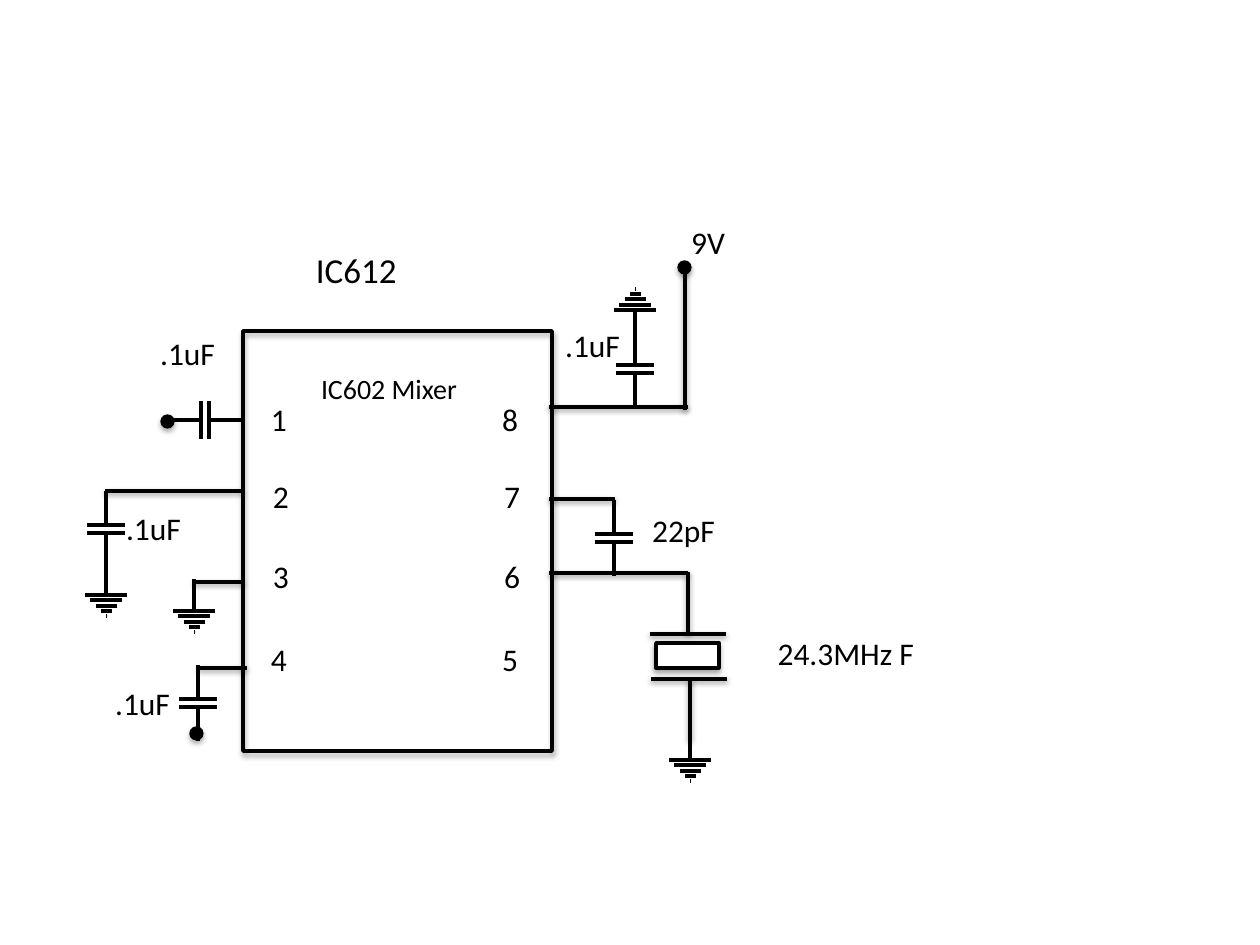
from lxml.etree import SubElement
from pptx import Presentation
from pptx.dml.color import RGBColor
from pptx.enum.shapes import MSO_CONNECTOR as Connector, MSO_SHAPE as Shape
from pptx.enum.text import PP_ALIGN as Align
from pptx.oxml.ns import qn
from pptx.util import Pt

PX = 914400 / 126
THEME = {
    "font": "Calibri",
    "ink": RGBColor(0, 0, 0),
    "paper": RGBColor(255, 255, 255),
    "title": 20,
    "name": 16,
    "label": 18,
    "wire": 2,
    "dot": 0.75,
}

deck = Presentation()
deck.slide_width, deck.slide_height = round(1260 * PX), round(945 * PX)
page = deck.slides.add_slide(deck.slide_layouts[6])


def outline(shape, width, shaded, opacity=35, distance=1.8):
    shape.line.color.rgb = THEME["ink"]
    shape.line.width = Pt(width)
    effects = SubElement(shape._element.spPr, qn("a:effectLst"))
    if shaded:
        shadow = SubElement(effects, qn("a:outerShdw"), blurRad=str(Pt(3)),
                            dist=str(Pt(distance)), dir="5400000", rotWithShape="0")
        color = SubElement(shadow, qn("a:srgbClr"), val=str(THEME["ink"]))
        SubElement(color, qn("a:alpha"), val=str(opacity * 1000))


def wire(x1, y1, x2, y2, shaded=False):
    ends = [round(value * PX) for value in (x1, y1, x2, y2)]
    line = page.shapes.add_connector(Connector.STRAIGHT, *ends)
    outline(line, THEME["wire"], shaded, 38, 1.6)


bodies = [
    (Shape.RECTANGLE, 243, 331, 309, 420, None, THEME["wire"]),
    (Shape.RECTANGLE, 656, 643, 63, 25, THEME["paper"], THEME["wire"]),
]
for left, top in [(161, 415), (678, 261), (190, 727)]:
    bodies.append((Shape.OVAL, left, top, 13, 13, THEME["ink"], THEME["dot"]))
for kind, left, top, width, height, fill, weight in bodies:
    frame = [round(value * PX) for value in (left, top, width, height)]
    body = page.shapes.add_shape(kind, *frame)
    if fill is None:
        body.fill.background()
    else:
        body.fill.solid()
        body.fill.fore_color.rgb = fill
    outline(body, weight, True)

pin_wires = [
    (105, 491, 243, 491), (194, 582, 244, 582), (198, 668, 247, 668),
    (549, 407, 688, 407), (549, 499, 615, 499), (549, 573, 688, 573),
]
supply_wire = (685, 267, 685, 410)
crystal_wires = [
    (688, 572, 688, 634), (650, 634, 726, 634),
    (651, 679, 727, 679), (690, 678, 690, 740),
]
for ends in [*pin_wires, supply_wire, *crystal_wires]:
    wire(*ends, shaded=True)

GAP, PLATE, LEAD = 4, 19, 38
for x, y, upright in [(106, 529, True), (198, 703, True), (635, 369, True),
                      (614, 538, True), (205, 420, False)]:
    for side in (-1, 1):
        near, far = side * GAP, side * LEAD
        if upright:
            wire(x, y + near, x, y + far)
            wire(x - PLATE, y + near, x + PLATE, y + near)
        else:
            wire(x + near, y, x + far, y)
            wire(x + near, y - PLATE, x + near, y + PLATE)

STEM, STEP = 32, 5.3
for x, y, direction in [(690, 760, 1), (194, 611, 1), (106, 595, 1), (635, 310, -1)]:
    wire(x, y - direction * STEM, x, y)
    for row, width in enumerate((42, 32, 21, 11, 1)):
        left, level = x - width // 2, y + direction * round(row * STEP)
        wire(left, level, left + width, level)

labels = [
    ("IC602 Mixer", 321, 372, 146, 34, "name", Align.LEFT, 0),
    ("IC612", 316, 248, 91, 43, "title", Align.LEFT, 0),
    ("24.3MHz F", 762, 628, 158, 50, "label", Align.RIGHT, 6),
]
for row, top in enumerate((394, 471, 551, 634)):
    shift = 2 if row in (1, 2) else 0
    labels.append((str(row + 1), 265 + shift, top, 96, 50, "label", Align.LEFT, 6))
    labels.append((str(8 - row), 428 + shift, top, 96, 50, "label", Align.RIGHT, 6))
for text, left, top in [(".1uF", 125, 328), (".1uF", 530, 320), (".1uF", 80, 678),
                        (".1uF", 91, 503), ("22pF", 625, 505), ("9V", 635, 217)]:
    labels.append((text, left, top, 96, 50, "label", Align.RIGHT, 6))

for text, left, top, width, height, size, align, inset in labels:
    frame = [round(value * PX) for value in (left, top, width, height)]
    box = page.shapes.add_textbox(*frame)
    text_frame = box.text_frame
    text_frame.word_wrap = inset > 0
    text_frame.margin_left = text_frame.margin_right = round(inset * PX)
    text_frame.margin_top = text_frame.margin_bottom = round(inset * PX)
    text_frame.text = text
    para = text_frame.paragraphs[0]
    para.alignment = align
    span = para.runs[0]
    span.font.name = THEME["font"]
    span.font.size = Pt(THEME[size])
    span.font.color.rgb = THEME["ink"]

deck.save("out.pptx")
